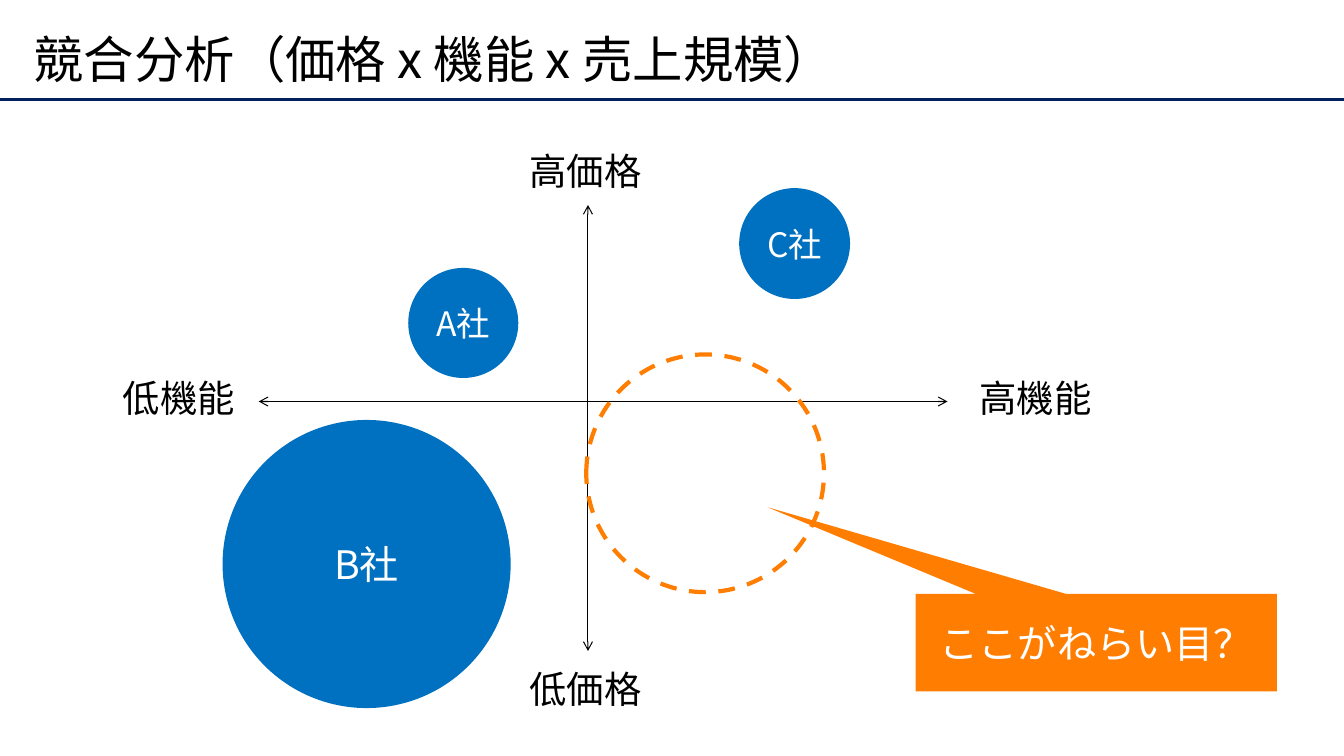
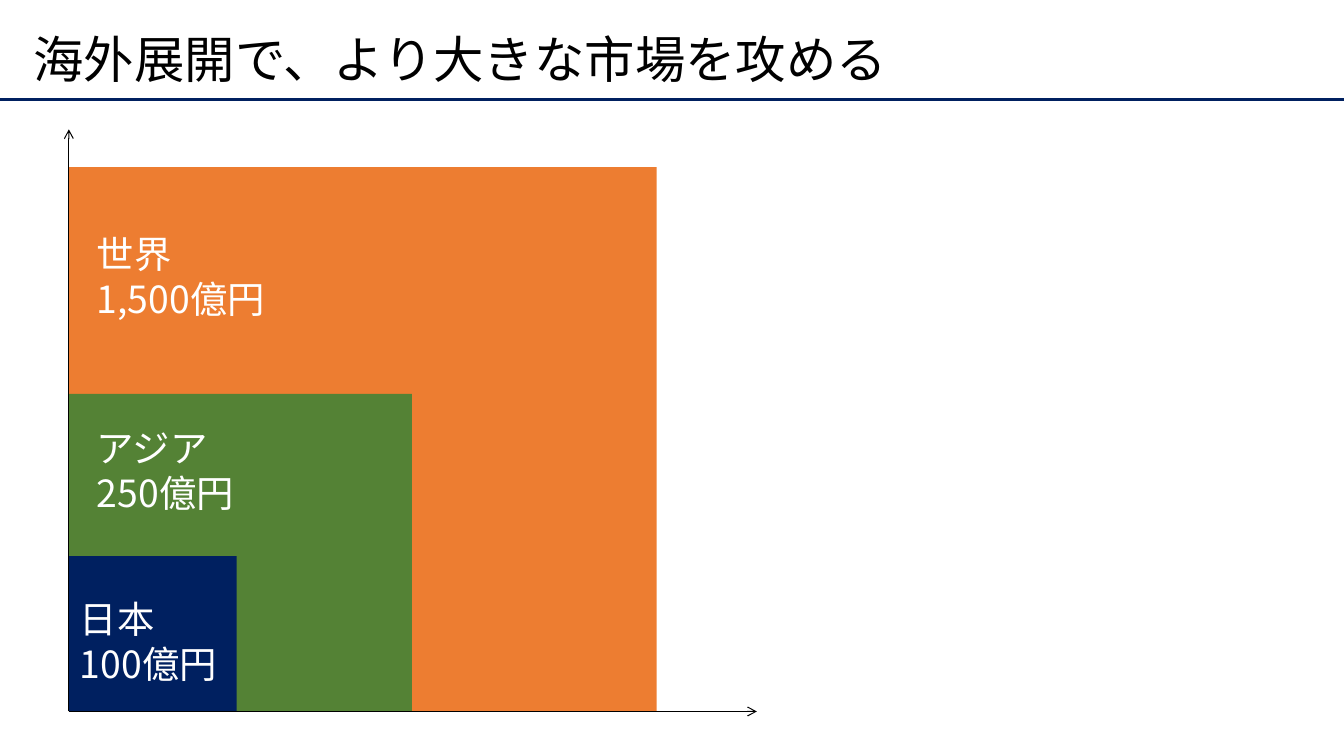
from lxml import etree
from pptx import Presentation, util as u
from pptx.dml.color import RGBColor
from pptx.enum import dml, shapes, text
from pptx.oxml import ns

# The slide is a grid of 160 columns by 90 rows of square cells.
COLUMNS, ROWS = 160, 90
CELL = u.Inches(7.5) / ROWS
FONT = "Noto Sans CJK JP"
COLORS = {
    "ink": "000000", "white": "FFFFFF", "navy": "002060", "blue": "0070C0",
    "accent": "FF7D00", "world": "ED7D31", "asia": "548235",
}
LABEL_SIZE = 26.7
LABEL_INSETS = (0.11, 0.06)
CIRCLE = shapes.MSO_SHAPE.OVAL
CALLOUT = shapes.MSO_SHAPE.RECTANGULAR_CALLOUT
SQUARE = shapes.MSO_SHAPE.RECTANGLE


def cells(*counts):
    return [u.Emu(round(count * CELL)) for count in counts]


def color(name):
    return RGBColor.from_string(COLORS[name])


def write(shape, lines, size, tint, align=text.PP_ALIGN.LEFT,
          anchor=text.MSO_ANCHOR.TOP, spacing=None):
    frame = shape.text_frame
    frame.word_wrap = True
    frame.vertical_anchor = anchor
    for index, line in enumerate(lines):
        para = frame.add_paragraph() if index else frame.paragraphs[0]
        para.alignment = align
        para.line_spacing = spacing
        span = para.add_run()
        span.text = line
        span.font.size = u.Pt(size)
        span.font.color.rgb = color(tint)
        span.font.name = FONT
        east_asian = etree.SubElement(span.font._element, ns.qn("a:ea"))
        east_asian.set("typeface", FONT)


def add_label(page, place, lines, tint="ink"):
    box = page.shapes.add_textbox(*cells(*place))
    frame = box.text_frame
    across, down = map(u.Inches, LABEL_INSETS)
    frame.margin_left = frame.margin_right = across
    frame.margin_top = frame.margin_bottom = down
    frame.auto_size = text.MSO_AUTO_SIZE.SHAPE_TO_FIT_TEXT
    write(box, lines, LABEL_SIZE, tint)


def add_filled(page, kind, place, fill, caption=None, size=28):
    """Add a borderless shape, with a centred white caption if given."""
    shape = page.shapes.add_shape(kind, *cells(*place))
    shape.shadow.inherit = False
    shape.fill.solid()
    shape.fill.fore_color.rgb = color(fill)
    shape.line.fill.background()
    if caption:
        write(shape, [caption], size, "white", text.PP_ALIGN.CENTER,
              text.MSO_ANCHOR.MIDDLE)
    return shape


def add_dashed_circle(page, left, top, diameter):
    ring = page.shapes.add_shape(CIRCLE, *cells(left, top, diameter, diameter))
    ring.shadow.inherit = False
    ring.fill.background()
    ring.line.color.rgb = color("accent")
    ring.line.width = u.Pt(3)
    ring.line.dash_style = dml.MSO_LINE.DASH


def add_line(page, start, end, tint="ink", width=0.75, arrows=()):
    """Add a line; arrows lists the ends to mark, headEnd before tailEnd."""
    line = page.shapes.add_connector(
        shapes.MSO_CONNECTOR.STRAIGHT, *cells(*start, *end))
    line.line.color.rgb = color(tint)
    line.line.width = u.Pt(width)
    for arrow in arrows:
        mark = etree.SubElement(line.line._get_or_add_ln(), ns.qn(f"a:{arrow}"))
        mark.set("type", "arrow")
    etree.SubElement(line._element.spPr, ns.qn("a:effectLst"))


def add_page(deck, title):
    page = deck.slides.add_slide(deck.slide_layouts[6])
    add_line(page, (0, 11.9), (COLUMNS, 11.9), "navy", 2.25)
    box = page.shapes.add_textbox(*cells(2.8, 2.4, 151.2, 10.1))
    write(box, [title], 36, "ink", anchor=text.MSO_ANCHOR.MIDDLE, spacing=0.9)
    return page


def build_competitors(deck):
    page = add_page(deck, "競合分析（価格 x 機能 x 売上規模）")
    for caption, left, top in (("高機能", 115.3, 44), ("低機能", 13.3, 44),
                               ("高価格", 61.7, 16.9), ("低価格", 61.7, 78.6)):
        add_label(page, (left, top, 16.6, 6.7), [caption])

    both = ("headEnd", "tailEnd")
    add_line(page, (70, 24.4), (70, 77.5), arrows=both)
    add_line(page, (112.8, 47.8), (30.8, 47.8), arrows=both)

    for caption, left, top, diameter, size in (
            ("A社", 48.6, 31.9, 13.1, 24),
            ("B社", 26.5, 50, 34.3, 28),
            ("C社", 88, 22.4, 13.2, 24)):
        add_filled(page, CIRCLE, (left, top, diameter, diameter), "blue",
                   caption, size)

    callout = add_filled(page, CALLOUT, (109, 70.7, 43, 11.6), "accent",
                         "ここがねらい目？")
    callout.adjustments[0], callout.adjustments[1] = -0.91, -1.39
    add_dashed_circle(page, 69.8, 42.2, 28.3)


def build_markets(deck):
    page = add_page(deck, "海外展開で、より大きな市場を攻める")
    left, base, stretch = 8.2, 84.7, 1.08
    for height, fill in ((64.8, "world"), (37.8, "asia"), (18.5, "navy")):
        add_filled(page, SQUARE,
                   (left, base - height, height * stretch, height), fill)

    for tip in ((left, 15.4), (90.1, base)):
        add_line(page, tip, (left, base), arrows=("headEnd",))

    for region, amount, indent, top in (("日本", "100億円", 0, 70.3),
                                        ("アジア", "250億円", 2, 49.9),
                                        ("世界", "1,500億円", 2, 26.8)):
        add_label(page, (left + indent, top, 23.5, 12.1), [region, amount],
                  "white")


def main():
    deck = Presentation()
    deck.slide_width, deck.slide_height = cells(COLUMNS, ROWS)
    build_competitors(deck)
    build_markets(deck)
    deck.save("out.pptx")


if __name__ == "__main__":
    main()
